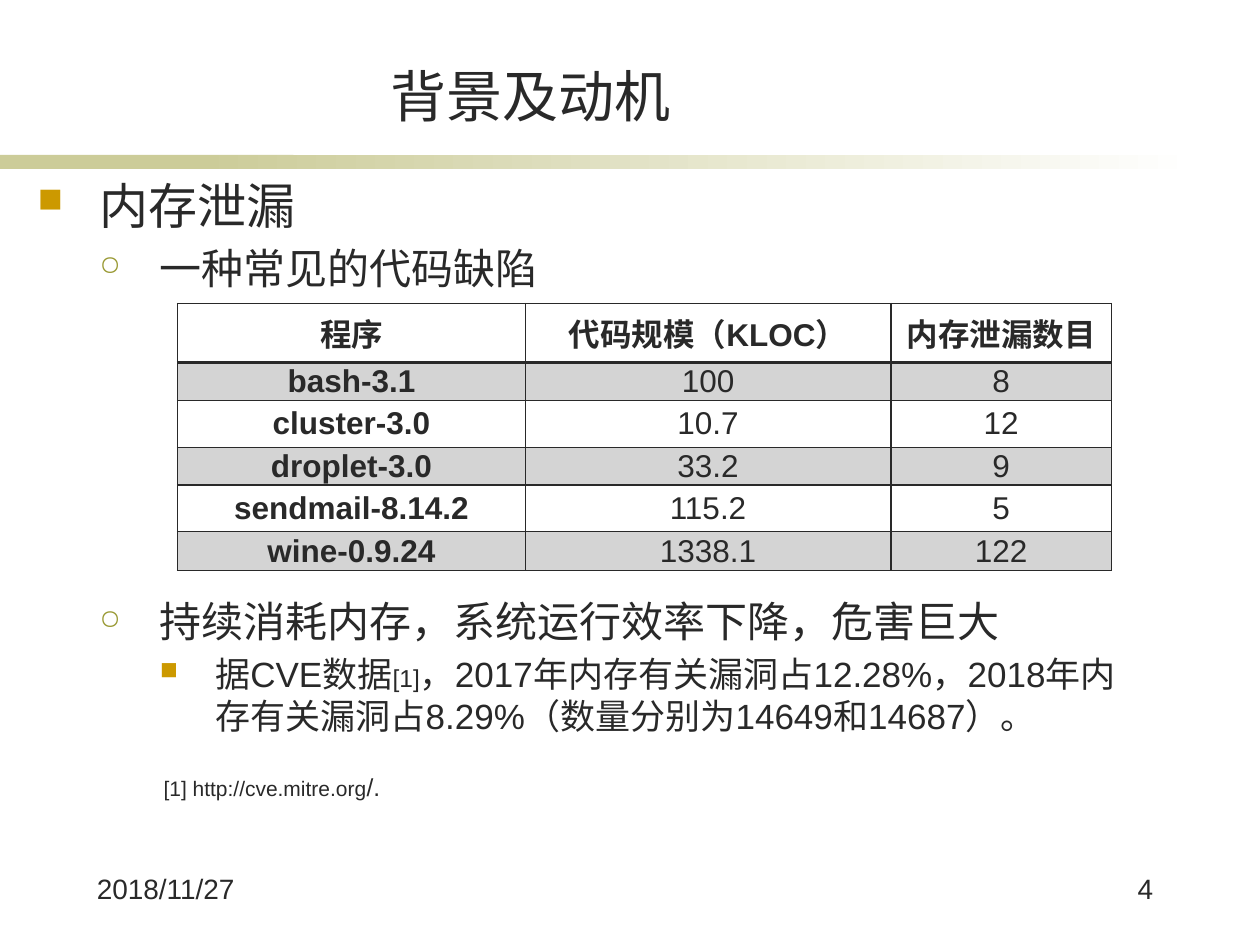
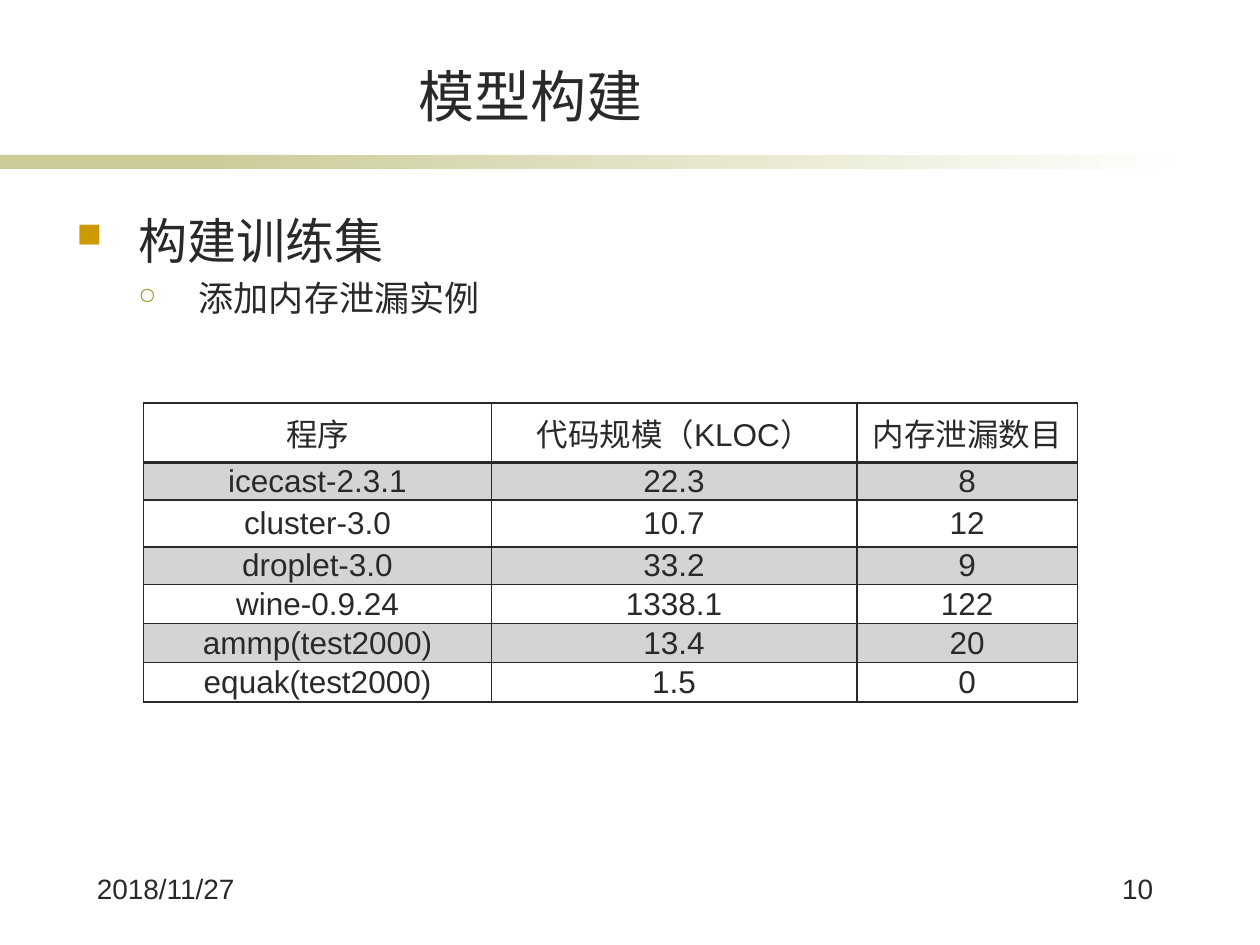
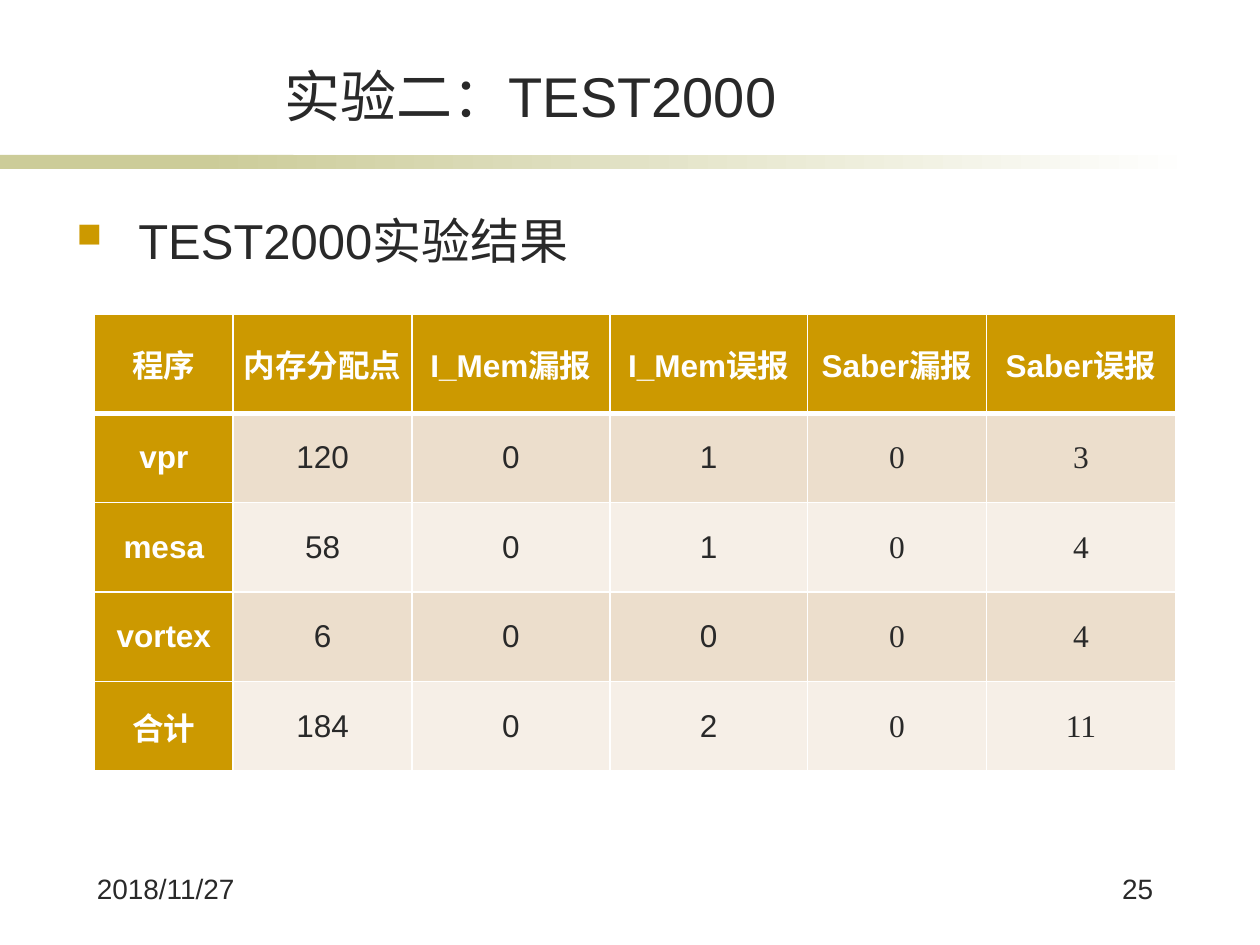
from pptx import Presentation
from pptx import util as u
from pptx.dml.color import RGBColor
from pptx.enum import shapes, text
from pptx.oxml.ns import qn
from lxml import etree

# Shared look
COLORS = {
    "ink": "292929", "paper": "FFFFFF", "band": "CCCC99",
    "gold": "CC9900", "olive": "999933",
    "sand": "ECDECC", "cream": "F6EFE7",
}
SANS, SERIF, CJK = "Arial", "Times New Roman", "Noto Sans CJK SC"
DATE = "2018/11/27"
COLUMNS, ROWS = 100, 75
CELL = u.Inches(0.1)

# Grid boxes: left, top, width, height in columns and rows
TITLE_BOX = (11.4, 4.4, 61.4, 6.3)
SOLID_BAND = (0, 12.3, 23.3, 1.1)
FADING_BAND = (15.8, 12.3, 79.2, 1.1)
DATE_BOX = (6.7, 68.7, 14.1, 5)
NUMBER_BOX = (82.3, 68.7, 10.2, 5)

# Outline levels: left margin, hanging indent (columns), bullet, colour, size %
LEVELS = [
    (4.9, -4.9, "■", "gold", 70),
    (9.7, -4.8, "○", "olive", 65),
    (14.1, -4.4, "■", "gold", 70),
]
NOTE_LEVEL = (10, 0, None, None, None)

PROGRAM_HEADER = ["程序", "代码规模（KLOC）", "内存泄漏数目"]
PROGRAM_COLUMNS = [2.76, 2.9, 1.75]


def color(name):
    return RGBColor.from_string(COLORS[name])


def place(box):
    return [round(CELL * length) for length in box]


def set_font(font, size, name=SANS, ink="ink", bold=False):
    font.size, font.name, font.bold = u.Pt(size), name, bold
    font.color.rgb = color(ink)


def add_text(page, box, words=None, size=16, name=SANS,
             align=text.PP_ALIGN.LEFT, anchor=text.MSO_ANCHOR.TOP):
    frame = page.shapes.add_textbox(*place(box)).text_frame
    frame.word_wrap = True
    frame.vertical_anchor = anchor
    if words:
        para = frame.paragraphs[0]
        para.text, para.alignment = words, align
        set_font(para.font, size, name)
    return frame


def add_band(page, box, fading=False):
    band = page.shapes.add_shape(shapes.MSO_SHAPE.RECTANGLE, *place(box))
    band.shadow.inherit = False
    band.line.fill.background()
    if fading:
        band.fill.gradient()
        band.fill.gradient_angle = 0
        for stop, name in zip(band.fill.gradient_stops, ("band", "paper")):
            stop.color.rgb = color(name)
    else:
        band.fill.solid()
        band.fill.fore_color.rgb = color("band")


def add_page(deck, title, number, title_font=SANS):
    """Blank page with bands, title, date and page number."""
    page = deck.slides.add_slide(deck.slide_layouts[6])
    add_band(page, SOLID_BAND)
    add_band(page, FADING_BAND, fading=True)
    add_text(page, TITLE_BOX, title, 32, title_font,
             text.PP_ALIGN.CENTER, text.MSO_ANCHOR.BOTTOM)
    add_text(page, DATE_BOX, DATE)
    add_text(page, NUMBER_BOX, str(number), align=text.PP_ALIGN.RIGHT)
    return page


def set_bullet(para, level):
    margin, indent, mark, ink, percent = level
    props = para._p.get_or_add_pPr()
    props.set("marL", str(round(CELL * margin)))
    props.set("indent", str(round(CELL * indent)))
    if mark is None:
        etree.SubElement(props, qn("a:buNone"))
        return
    tint = etree.SubElement(props, qn("a:buClr"))
    etree.SubElement(tint, qn("a:srgbClr"), val=COLORS[ink])
    etree.SubElement(props, qn("a:buSzPct"), val=str(percent * 1000))
    etree.SubElement(props, qn("a:buChar"), char=mark)


def add_outline(page, box, items):
    """Each item: level, size, space before, then spans as text or (text, size)."""
    frame = add_text(page, box)
    for index, (level, size, space, *spans) in enumerate(items):
        para = frame.add_paragraph() if index else frame.paragraphs[0]
        set_bullet(para, level)
        if index:
            para.space_before = u.Pt(space)
        set_font(para.font, size)
        for part in spans:
            words, span_size = (part, None) if isinstance(part, str) else part
            span = para.add_run()
            span.text = words
            if span_size:
                span.font.size = u.Pt(span_size)


def set_borders(cell, ink, widths):
    props = cell._tc.get_or_add_tcPr()
    for side, width in zip("LRTB", widths):
        line = etree.SubElement(props, qn("a:ln" + side), w=str(u.Pt(width)))
        fill = etree.SubElement(line, qn("a:solidFill"))
        etree.SubElement(fill, qn("a:srgbClr"), val=COLORS[ink])


def fill_cell(cell, name, opacity=100):
    if name is None:
        cell.fill.background()
        return
    cell.fill.solid()
    cell.fill.fore_color.rgb = color(name)
    if opacity < 100:
        tint = cell._tc.tcPr.find(qn("a:solidFill")).find(qn("a:srgbClr"))
        etree.SubElement(tint, qn("a:alpha"), val=str(opacity * 1000))


def share(lines, total, weights, attribute):
    for line, weight in zip(lines, weights):
        setattr(line, attribute, round(total * weight / sum(weights)))


def add_grid(page, box, data, widths, heights, border, rule, style):
    """Table whose style(row, column) gives fill, opacity and font settings."""
    left, top, width, height = place(box)
    table = page.shapes.add_table(len(data), len(widths),
                                  left, top, width, height).table
    table.first_row = table.horz_banding = False
    share(table.columns, width, widths, "width")
    share(table.rows, height, heights, "height")
    for row, values in enumerate(data):
        for column, value in enumerate(values):
            cell = table.cell(row, column)
            cell.margin_left = cell.margin_right = u.Inches(0.07)
            cell.margin_top = cell.margin_bottom = 0
            cell.vertical_anchor = text.MSO_ANCHOR.MIDDLE
            set_borders(cell, border, (1, 1, rule if row == 1 else 1,
                                       1 if row else rule))
            fill, opacity, font = style(row, column)
            fill_cell(cell, fill, opacity)
            para = cell.text_frame.paragraphs[0]
            para.text, para.alignment = value, text.PP_ALIGN.CENTER
            set_font(para.font, 18, **font)


def add_program_table(page, box, programs, heights, bold):
    """Ruled table with grey odd rows; bold marks the header and first column."""
    def style(row, column):
        heavy = bold and (row == 0 or column == 0)
        return "ink" if row % 2 else None, 20, {"bold": heavy}

    add_grid(page, box, [PROGRAM_HEADER] + programs, PROGRAM_COLUMNS,
             heights, "ink", 2, style)


def add_result_table(page, box, data, widths, heights):
    """Gold header row and column, banded values, last two columns in serif."""
    def style(row, column):
        if row == 0 or column == 0:
            return "gold", 100, {"ink": "paper", "bold": True}
        name = SERIF if column >= len(widths) - 2 else SANS
        return "sand" if row % 2 else "cream", 100, {"name": name}

    add_grid(page, box, data, widths, heights, "paper", 3, style)


def build_background(deck):
    page = add_page(deck, "背景及动机", 4, CJK)
    programs = [
        ["bash-3.1", "100", "8"],
        ["cluster-3.0", "10.7", "12"],
        ["droplet-3.0", "33.2", "9"],
        ["sendmail-8.14.2", "115.2", "5"],
        ["wine-0.9.24", "1338.1", "122"],
    ]
    add_program_table(page, (14.1, 24.1, 74.1, 21.2), programs,
                      [0.47, 0.3, 0.37, 0.3, 0.37, 0.31], bold=True)
    # The second point clears the table by its space before
    add_outline(page, (2, 13.4, 89.8, 52), [
        (LEVELS[0], 28, 0, "内存泄漏"),
        (LEVELS[1], 24, 4.8, "一种常见的代码缺陷"),
        (LEVELS[1], 24, 173, "持续消耗内存，系统运行效率下降，危害巨大"),
        (LEVELS[2], 20, 4, "据CVE数据", ("[1]", 14),
         "，2017年内存有关漏洞占12.28%，2018年内存有关漏洞占8.29%"
         "（数量分别为14649和14687）。"),
        (NOTE_LEVEL, 12, 20, "[1] http://cve.mitre.org", ("/.", 14)),
    ])


def build_training_set(deck):
    page = add_page(deck, "模型构建", 10)
    add_outline(page, (5.1, 16.2, 59.1, 10.2), [
        (LEVELS[0], 28, 0, "构建训练集"),
        (LEVELS[1], 20, 4, "添加内存泄漏实例"),
    ])
    programs = [
        ["icecast-2.3.1", "22.3", "8"],
        ["cluster-3.0", "10.7", "12"],
        ["droplet-3.0", "33.2", "9"],
        ["wine-0.9.24", "1338.1", "122"],
        ["ammp(test2000)", "13.4", "20"],
        ["equak(test2000)", "1.5", "0"],
    ]
    add_program_table(page, (11.4, 32, 74.1, 23.7), programs,
                      [0.47, 0.3, 0.37, 0.3, 0.31, 0.31, 0.31], bold=False)


def build_results(deck):
    page = add_page(deck, "实验二：TEST2000", 25)
    add_outline(page, (5.1, 16.2, 44.9, 5.5),
                [(LEVELS[0], 28, 0, "TEST2000实验结果")])
    data = [
        ["程序", "内存分配点", "I_Mem漏报", "I_Mem误报", "Saber漏报", "Saber误报"],
        ["vpr", "120", "0", "1", "0", "3"],
        ["mesa", "58", "0", "1", "0", "4"],
        ["vortex", "6", "0", "0", "0", "4"],
        ["合计", "184", "0", "2", "0", "11"],
    ]
    add_result_table(page, (7.5, 24.9, 85.8, 36.3), data,
                     [1.1, 1.42, 1.57, 1.57, 1.42, 1.5],
                     [0.79] + [0.71] * 4)


def main():
    deck = Presentation()
    deck.slide_width, deck.slide_height = CELL * COLUMNS, CELL * ROWS
    build_background(deck)
    build_training_set(deck)
    build_results(deck)
    deck.save("out.pptx")


if __name__ == "__main__":
    main()
